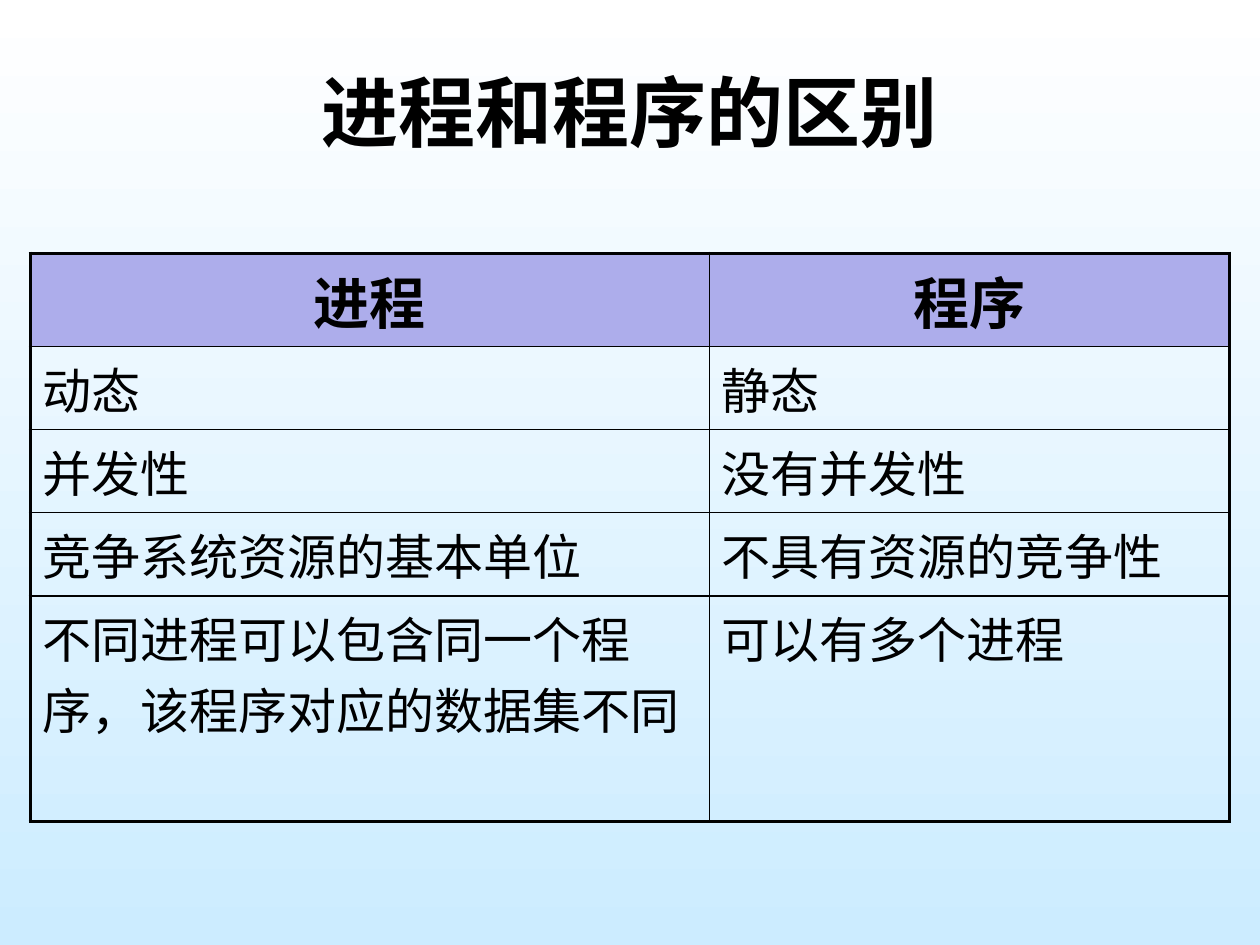
from lxml.etree import SubElement
from pptx import Presentation
from pptx.dml.color import RGBColor
from pptx.enum.text import MSO_ANCHOR, PP_ALIGN
from pptx.oxml.ns import qn
from pptx.util import Inches, Pt

FONT = "Noto Sans CJK SC"
COLORS = {"text": "000000", "border": "000000", "header": "ADADEB",
          "sky_top": "FFFFFF", "sky_bottom": "CCECFF"}
THIN, THICK = Pt(1), Pt(2.25)

COMPARISON = [
    ("进程", "程序"),
    ("动态", "静态"),
    ("并发性", "没有并发性"),
    ("竞争系统资源的基本单位", "不具有资源的竞争性"),
    ("不同进程可以包含同一个程序，该程序对应的数据集不同", "可以有多个进程"),
]
COLUMN_WIDTHS = [5.39, 4.13]
ROW_HEIGHTS = [0.74, 0.66, 0.66, 0.66, 1.79]


def color(name):
    return RGBColor.from_string(COLORS[name])


def write(frame, words, size, bold=False, align=PP_ALIGN.LEFT):
    paragraph = frame.paragraphs[0]
    paragraph.alignment = align
    # Keep punctuation inside the margin at line ends
    paragraph._p.get_or_add_pPr().set("hangingPunct", "0")
    run = paragraph.add_run()
    run.text = words
    run.font.size = Pt(size)
    run.font.bold = bold
    run.font.name = FONT
    run.font.color.rgb = color("text")
    # East Asian text takes its typeface from a:ea
    SubElement(run.font._element, qn("a:ea"), typeface=FONT)


def set_borders(cell, widths):
    """Draw the cell's borders; widths are left, right, top, bottom."""
    properties = cell._tc.get_or_add_tcPr()
    for side, width in zip("LRTB", widths):
        line = SubElement(properties, qn(f"a:ln{side}"), w=str(width))
        fill = SubElement(line, qn("a:solidFill"))
        SubElement(fill, qn("a:srgbClr"), val=COLORS["border"])


def paint_background(slide):
    fill = slide.background.fill
    fill.gradient()
    fill.gradient_angle = 270
    for stop, name in zip(fill.gradient_stops, ("sky_top", "sky_bottom")):
        stop.color.rgb = color(name)


def add_title(slide, left, top, width, height):
    frame = slide.shapes.add_textbox(left, top, width, height).text_frame
    frame.word_wrap = True
    frame.vertical_anchor = MSO_ANCHOR.MIDDLE
    write(frame, "进程和程序的区别", 44, True, PP_ALIGN.CENTER)


def add_comparison(slide, left, top, width, height):
    last_row, last_column = len(ROW_HEIGHTS) - 1, len(COLUMN_WIDTHS) - 1
    table = slide.shapes.add_table(last_row + 1, last_column + 1,
                                   left, top, width, height).table
    for column, column_width in zip(table.columns, COLUMN_WIDTHS):
        column.width = Inches(column_width)
    for row, row_height in zip(table.rows, ROW_HEIGHTS):
        row.height = Inches(row_height)

    for r, entries in enumerate(COMPARISON):
        for c, words in enumerate(entries):
            cell = table.cell(r, c)
            outer_edges = (c == 0, c == last_column, r == 0, r == last_row)
            set_borders(cell, [THICK if outer else THIN for outer in outer_edges])
            if r == 0:
                cell.fill.solid()
                cell.fill.fore_color.rgb = color("header")
                write(cell.text_frame, words, 32, True, PP_ALIGN.CENTER)
            else:
                cell.fill.background()
                write(cell.text_frame, words, 28)


def main():
    deck = Presentation()
    deck.slide_width, deck.slide_height = Inches(10), Inches(7.5)
    slide = deck.slides.add_slide(deck.slide_layouts[6])
    paint_background(slide)
    add_title(slide, Inches(0.75), Inches(0.25), Inches(8.5), Inches(1.25))
    add_comparison(slide, Inches(0.24), Inches(2.01),
                   Inches(sum(COLUMN_WIDTHS)), Inches(sum(ROW_HEIGHTS)))
    deck.save("out.pptx")


if __name__ == "__main__":
    main()
